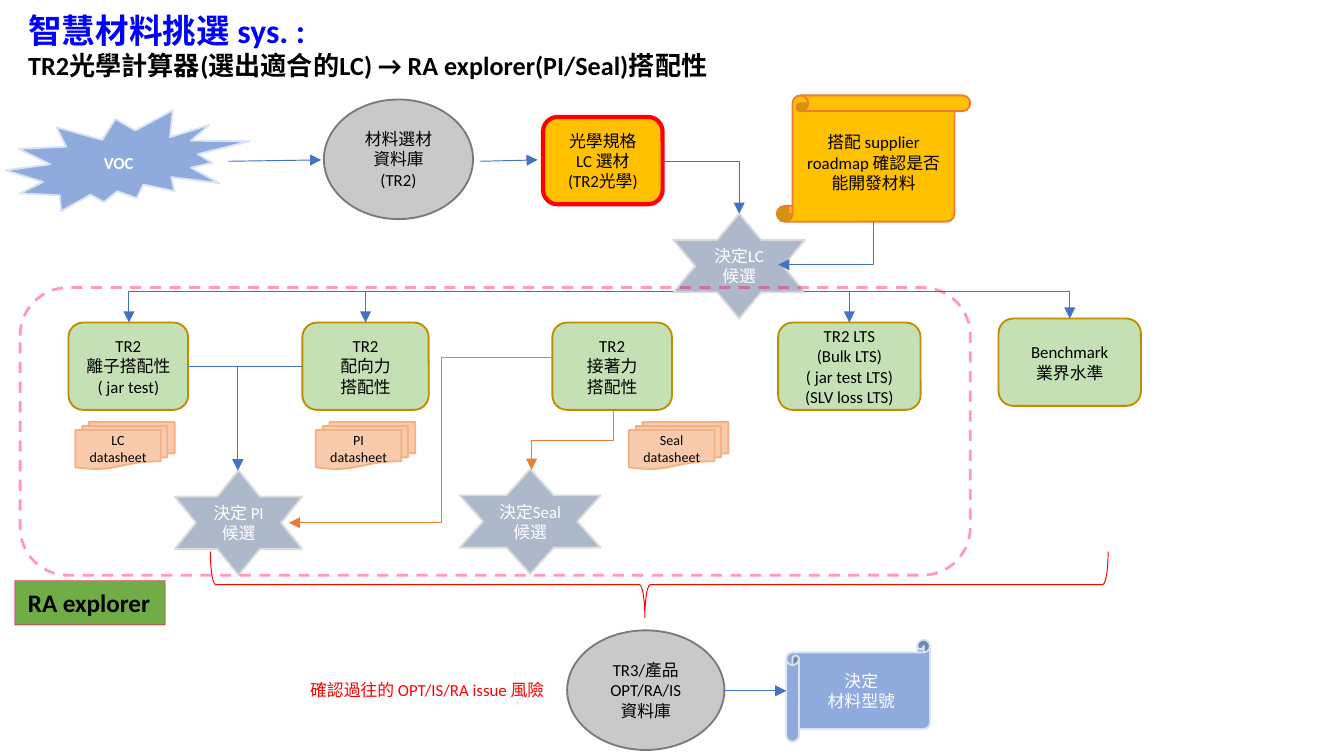
import pptx
import pptx.dml.color
import pptx.enum.dml
import pptx.enum.shapes
import pptx.enum.text
import pptx.oxml.ns
import pptx.util
from lxml import etree

Inches = pptx.util.Inches
Pt = pptx.util.Pt
Shape = pptx.enum.shapes.MSO_SHAPE
Connector = pptx.enum.shapes.MSO_CONNECTOR
Align = pptx.enum.text.PP_ALIGN
Anchor = pptx.enum.text.MSO_ANCHOR
qn = pptx.oxml.ns.qn

BLUE, ORANGE, RED, PINK = "4472C4", "ED7D31", "FF0000", "FF0066"
BLACK, WHITE = "000000", "FFFFFF"


def color(value):
    return pptx.dml.color.RGBColor.from_string(value)


class FlowPage:
    latin = "Calibri"
    east_asian = "Noto Sans CJK SC"

    def __init__(self, page):
        self.page = page

    def style_text(self, paragraph, size, ink, bold=False, align=Align.CENTER):
        paragraph.alignment = align
        for span in paragraph.runs:
            span.font.name = self.latin
            span.font.size = Pt(size)
            span.font.bold = bold
            span.font.color.rgb = color(ink)
            etree.SubElement(span.font._element, qn("a:ea"), typeface=self.east_asian)

    def style_line(self, line, ink, width, opacity=None):
        line.color.rgb = color(ink)
        line.width = Pt(width)
        if opacity:
            tint = line._ln.find(".//" + qn("a:srgbClr"))
            etree.SubElement(tint, qn("a:alpha"), val=str(opacity * 1000))

    def title(self, heading, subheading):
        box = self.page.shapes.title
        box.left, box.top = Inches(0.11), Inches(0.02)
        box.width, box.height = Inches(5.41), Inches(0.64)
        frame = box.text_frame
        frame.text = heading + "\n" + subheading
        frame.word_wrap = True
        frame.auto_size = pptx.enum.text.MSO_AUTO_SIZE.NONE
        frame.vertical_anchor = Anchor.TOP
        self.style_text(frame.paragraphs[0], 18, "0000FF", True, Align.LEFT)
        self.style_text(frame.paragraphs[1], 14, BLACK, True, Align.LEFT)
        for paragraph in frame.paragraphs:
            paragraph.space_before = Pt(0)

    def shape(self, kind, at, fill, line, width=1, text="", ink=BLACK, size=9,
              bold=False, align=Align.CENTER, opacity=None):
        box = self.page.shapes.add_shape(kind, *map(Inches, at))
        box.shadow.inherit = False
        if fill:
            box.fill.solid()
            box.fill.fore_color.rgb = color(fill)
        else:
            box.fill.background()
        self.style_line(box.line, line, width, opacity)
        if text:
            box.text_frame.text = text
            box.text_frame.vertical_anchor = Anchor.MIDDLE
            for paragraph in box.text_frame.paragraphs:
                self.style_text(paragraph, size, ink, bold, align)
        return box

    def note(self, at, text, ink):
        box = self.page.shapes.add_textbox(*map(Inches, at))
        box.text_frame.word_wrap = True
        box.text_frame.text = text
        self.style_text(box.text_frame.paragraphs[0], 9, ink, align=Align.LEFT)

    def arrow(self, start, end, ink=BLUE, kind=Connector.STRAIGHT, arrow_end="tailEnd"):
        link = self.page.shapes.add_connector(kind, *map(Inches, start + end))
        self.style_line(link.line, ink, 0.5)
        etree.SubElement(link.line._ln, qn("a:" + arrow_end), type="triangle")
        etree.SubElement(link._element.spPr, qn("a:effectLst"))
        return link

    def corner(self, start, end, arrow_end="tailEnd"):
        """Arrow with one bend: horizontal from start, then vertical to end."""
        link = self.arrow(start, end, kind=Connector.ELBOW, arrow_end=arrow_end)
        link._element.spPr.find(qn("a:prstGeom")).set("prst", "bentConnector2")


def build(flow):
    flow.title("智慧材料挑選 sys. :", "TR2光學計算器(選出適合的LC) → RA explorer(PI/Seal)搭配性")

    for at, text in [
        ((2.41, 0.74, 1.11, 0.89), "材料選材資料庫\n(TR2)"),
        ((4.22, 4.69, 1.17, 0.89), "TR3/產品OPT/RA/IS\n資料庫"),
    ]:
        flow.shape(Shape.OVAL, at, "C9C9C9", "7A7A7A", text=text)

    for left, top, width, text in [
        (0.51, 2.4, 0.89, "TR2\n離子搭配性\n( jar test)"),
        (2.25, 2.4, 0.94, "TR2\n配向力\n搭配性"),
        (4.11, 2.4, 0.89, "TR2\n接著力\n搭配性"),
        (5.79, 2.4, 1.06, "TR2 LTS\n(Bulk LTS)\n( jar test LTS)\n(SLV loss LTS)"),
        (7.43, 2.37, 1.06, "Benchmark\n業界水準"),
    ]:
        flow.shape(Shape.ROUNDED_RECTANGLE, (left, top, width, 0.65),
                   "C5E0B4", "BD8E00", text=text)
    flow.shape(Shape.ROUNDED_RECTANGLE, (4.04, 0.87, 0.89, 0.65), "FFC000", RED, 2.25,
               "光學規格\nLC 選材\n(TR2光學)")

    for left, top, width, text in [
        (5.01, 1.59, 0.98, "決定LC\n候選"),
        (1.3, 3.5, 0.95, "決定 PI候選"),
        (3.42, 3.49, 1.05, "決定Seal候選"),
    ]:
        flow.shape(Shape.STAR_6_POINT, (left, top, width, 0.78),
                   "ADB9CA", "DBDBDB", text=text, ink=WHITE)

    flow.shape(Shape.EXPLOSION2, (0.04, 0.82, 1.82, 0.75), "8FAADC", "DAE3F3",
               text="VOC", ink=WHITE, bold=True)
    flow.shape(Shape.HORIZONTAL_SCROLL, (5.85, 4.76, 1.07, 0.76), "8FAADC", "DAE3F3",
               text="決定\n材料型號", ink=WHITE)
    flow.shape(Shape.VERTICAL_SCROLL, (5.78, 0.71, 1.44, 0.94), "FFC000", ORANGE,
               text="搭配 supplier roadmap 確認是否能開發材料")
    for left, material in [(0.56, "LC"), (2.35, "PI"), (4.68, "Seal")]:
        flow.shape(Shape.FLOWCHART_MULTIDOCUMENT, (left, 3.14, 0.74, 0.35),
                   "F8CBAD", "F4B183", text=material + " datasheet", size=7.5)

    brace = flow.shape(Shape.LEFT_BRACE, (4.66, 1.01, 0.49, 6.68), None, RED, 0.5)
    brace.adjustments[0], brace.adjustments[1] = 0.083, 0.484
    brace.rotation = 270
    flow.note((2.21, 5.01, 1.97, 0.25), "確認過往的 OPT/IS/RA issue 風險", RED)

    for start, end in [
        ((1.7, 1.2), (2.39, 1.19)),
        ((3.57, 1.2), (4, 1.19)),
        ((5.39, 5.14), (5.85, 5.14)),
    ]:
        flow.arrow(start, end)
    for start, end in [
        ((4.93, 1.2), (5.5, 1.59)),
        ((1.4, 2.73), (1.77, 3.5)),
        ((2.25, 2.73), (1.77, 3.5)),
        ((5.01, 2.17), (0.96, 2.4)),
        ((5.01, 2.17), (2.72, 2.4)),
        ((5.98, 2.17), (6.32, 2.4)),
        ((5.98, 2.17), (7.96, 2.37)),
    ]:
        flow.corner(start, end)
    flow.corner((5.79, 1.97), (6.5, 1.65), arrow_end="headEnd")

    to_pi = flow.arrow((4.11, 2.66), (2.15, 3.89), ORANGE, Connector.ELBOW)
    guides = to_pi._element.spPr.find(qn("a:prstGeom")).get_or_add_avLst()
    etree.SubElement(guides, qn("a:gd"), name="adj1", fmla="val 42100")
    to_seal = flow.arrow((4.04, 2.97), (4.48, 3.58), ORANGE, Connector.ELBOW)
    to_seal._element.spPr.find(qn("a:xfrm")).set("rot", str(90 * 60000))

    explorer = flow.shape(Shape.ROUNDED_RECTANGLE, (0.15, 2.14, 7.07, 2.14), None,
                          PINK, 1.5, opacity=40)
    explorer.line.dash_style = pptx.enum.dml.MSO_LINE.DASH
    label = flow.shape(Shape.RECTANGLE, (0.11, 4.32, 1.12, 0.33), "70AD47", PINK, 0.75,
                       "RA explorer", size=13.5, bold=True, align=Align.LEFT, opacity=40)
    label.text_frame.word_wrap = False


def main():
    deck = pptx.Presentation()
    deck.slide_width = Inches(10)
    deck.slide_height = deck.slide_width * 9 // 16
    build(FlowPage(deck.slides.add_slide(deck.slide_layouts[5])))
    deck.save("out.pptx")


if __name__ == "__main__":
    main()
